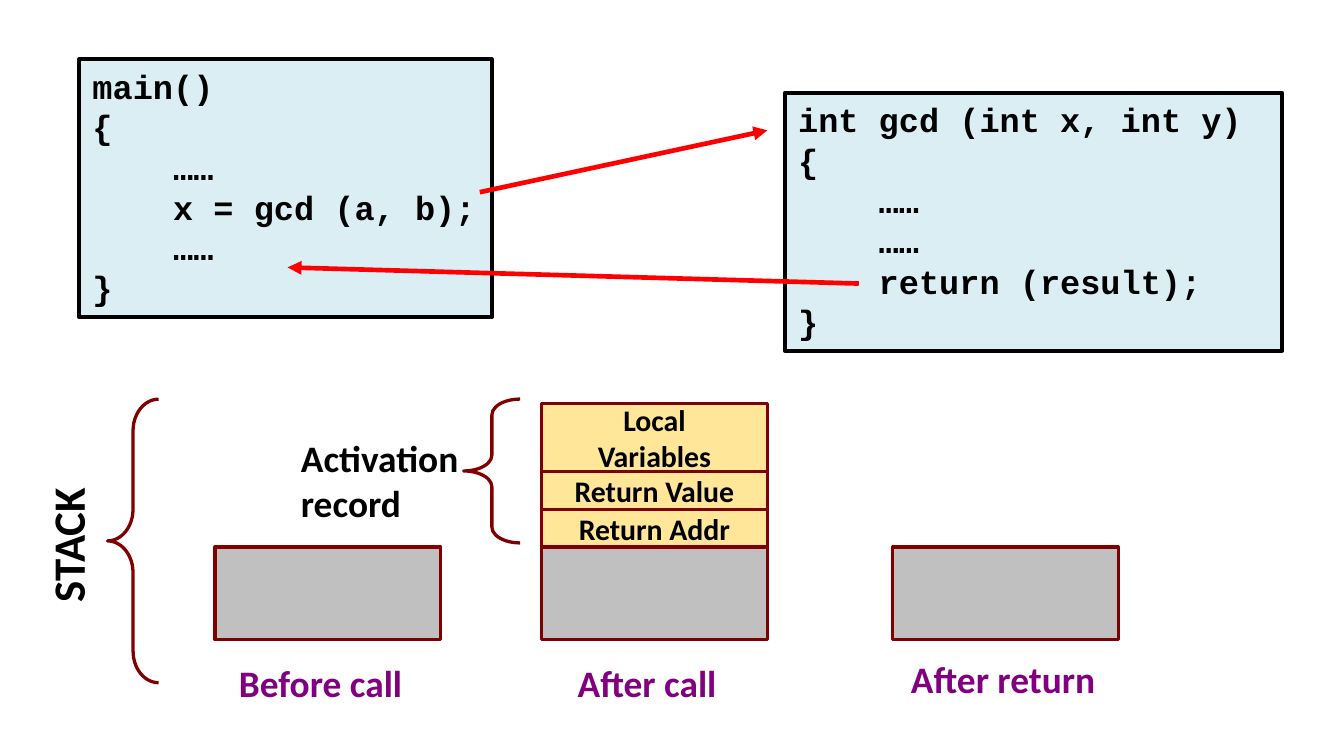
from dataclasses import dataclass

from lxml.etree import SubElement
from pptx import Presentation
from pptx.dml.color import RGBColor
from pptx.enum.shapes import MSO_CONNECTOR as Link, MSO_SHAPE as Shape
from pptx.enum.text import MSO_ANCHOR as Anchor, PP_ALIGN as Align
from pptx.oxml.ns import qn
from pptx.util import Inches, Pt

CELL = 0.1
COLUMNS, ROWS = 100, 56.25
COLORS = {
    "ink": "000000", "code": "DBEEF4", "arrow": "FF0000", "frame": "800000",
    "stack": "C0C0C0", "record": "FFE699", "caption": "800080",
}


@dataclass
class Box:
    left: float
    top: float
    width: float
    height: float

    def lengths(self):
        return [grid(n) for n in (self.left, self.top, self.width, self.height)]


def grid(cells):
    return Inches(cells * CELL)


def color(name):
    return RGBColor.from_string(COLORS[name])


def add_outline(page, kind, box, fill, line, weight):
    shape = page.shapes.add_shape(kind, *box.lengths())
    shape.shadow.inherit = False
    if fill:
        shape.fill.solid()
        shape.fill.fore_color.rgb = color(fill)
    else:
        shape.fill.background()
    shape.line.color.rgb = color(line)
    shape.line.width = Pt(weight)
    return shape


def write(frame, lines, size, font="Calibri", ink="ink", align=Align.LEFT):
    frame.text = "\n".join(lines)
    for para in frame.paragraphs:
        para.alignment = align
        para.font.name = font
        para.font.size = Pt(size)
        para.font.bold = True
        para.font.color.rgb = color(ink)


def add_label(page, box, text, size, ink="ink", rotation=0):
    label = page.shapes.add_textbox(*box.lengths())
    label.rotation = rotation
    label.text_frame.word_wrap = True
    write(label.text_frame, [text], size, ink=ink)


def add_code_panel(page, box, header, body):
    panel = add_outline(page, Shape.RECTANGLE, box, "code", "ink", 2)
    frame = panel.text_frame
    frame.word_wrap = True
    frame.vertical_anchor = Anchor.TOP
    write(frame, [header, "{", *body, "}"], 18, font="Courier New")
    for para in frame.paragraphs[2:-1]:
        properties = para._p.get_or_add_pPr()
        properties.set("marL", str(grid(6)))
        properties.set("indent", "0")


def add_arrow(page, start, end):
    arrow = page.shapes.add_connector(
        Link.STRAIGHT, *[grid(n) for n in (*start, *end)])
    arrow.line.color.rgb = color("arrow")
    arrow.line.width = Pt(2.5)
    properties = arrow._element.spPr
    SubElement(properties.find(qn("a:ln")), qn("a:tailEnd"), type="triangle")
    SubElement(properties, qn("a:effectLst"))


def add_stack(page, box, records=()):
    add_outline(page, Shape.RECTANGLE, box, "stack", "frame", 1.75)
    top = box.top
    for lines, height in records:
        top -= height
        entry = add_outline(page, Shape.RECTANGLE,
                            Box(box.left, top, box.width, height),
                            "record", "frame", 1.75)
        frame = entry.text_frame
        frame.word_wrap = False
        frame.vertical_anchor = Anchor.MIDDLE
        write(frame, lines, 16, align=Align.CENTER)


def add_brace(page, box, curl):
    brace = add_outline(page, Shape.LEFT_BRACE, box, None, "frame", 1.75)
    brace.adjustments[0] = curl
    brace.adjustments[1] = 0.5


def main():
    deck = Presentation()
    deck.slide_width, deck.slide_height = grid(COLUMNS), grid(ROWS)
    page = deck.slides.add_slide(deck.slide_layouts[6])

    add_code_panel(page, Box(5.9, 4.4, 30.7, 19.2), "main()",
                   ["……", "x = gcd (a, b);", "……"])
    add_code_panel(page, Box(58.4, 6.9, 37, 19.2), "int gcd (int x, int y)",
                   ["……", "……", "return (result);"])

    records = [(["Return Addr"], 2.8), (["Return Value"], 2.8),
               (["Local", "Variables"], 5.1)]
    stages = [("Before call", 16, 16.8, 48.6, ()),
              ("After call", 40.3, 42, 48.6, records),
              ("After return", 66.4, 66.8, 48.3, ())]
    for caption, left, caption_left, caption_top, entries in stages:
        add_stack(page, Box(left, 40.7, 16.8, 6.9), entries)
        add_label(page, Box(caption_left, caption_top, 20.6, 4.4),
                  caption, 20, "caption")

    add_brace(page, Box(8, 29.7, 3.8, 21.1), 0.62)
    add_label(page, Box(-4.3, 34, 18.6, 5), "STACK", 24, rotation=270)
    add_brace(page, Box(34.5, 29.7, 4.2, 10.7), 0.28)
    add_label(page, Box(21.4, 31.9, 18.1, 7.7), "Activation record", 20)

    add_arrow(page, (35.7, 14.3), (57.1, 9.7))
    add_arrow(page, (63.9, 21.1), (21.4, 19.9))
    deck.save("out.pptx")


if __name__ == "__main__":
    main()
